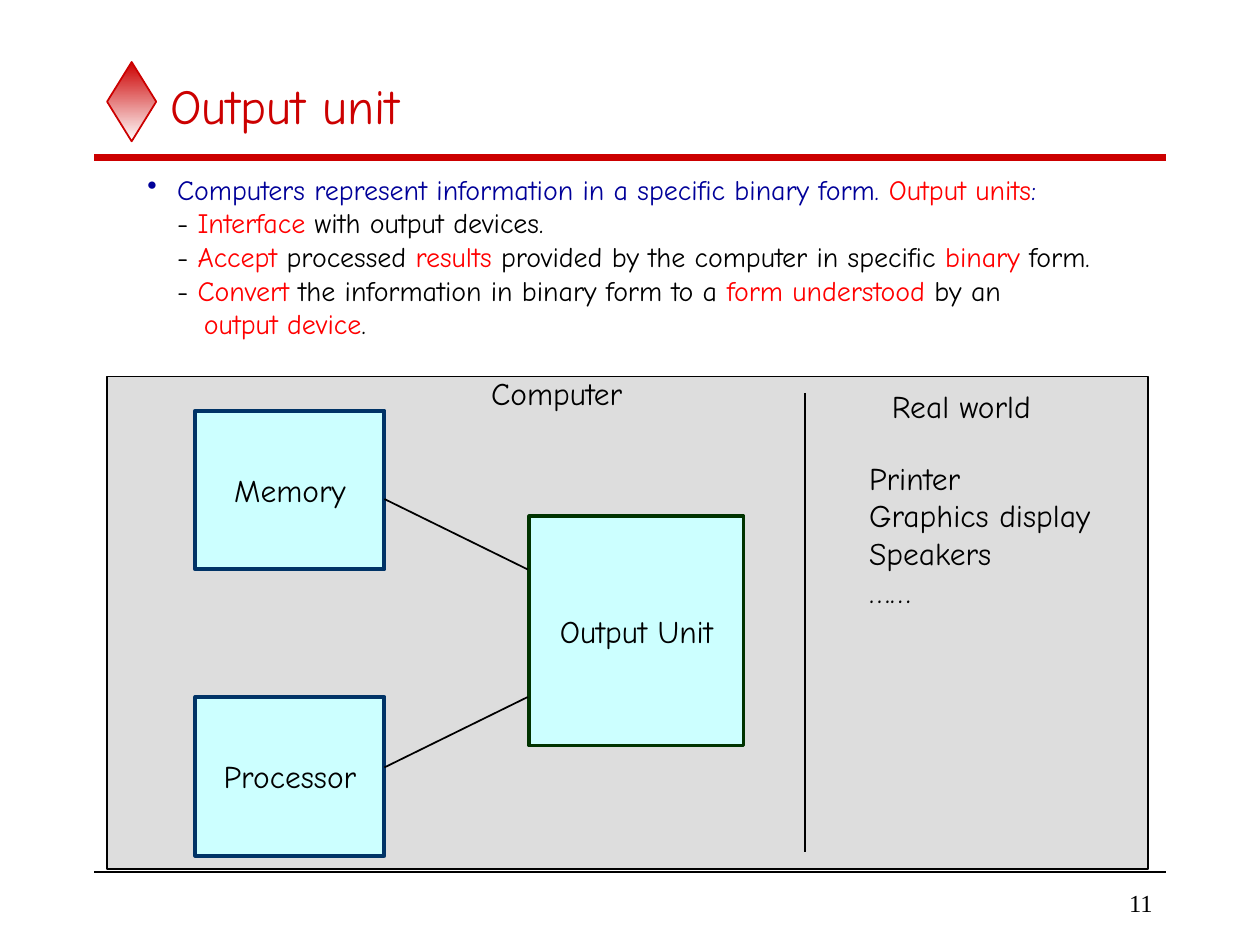
from lxml.etree import SubElement
from pptx import Presentation
from pptx.dml.color import RGBColor
from pptx.enum.shapes import MSO_CONNECTOR as LINK, MSO_SHAPE as SHAPE
from pptx.enum.text import MSO_ANCHOR as ANCHOR, MSO_AUTO_SIZE as AUTO, PP_ALIGN as ALIGN
from pptx.oxml.ns import qn
from pptx.util import Cm, Pt

RED = RGBColor(0xCC, 0x00, 0x00)
KEY = RGBColor(0xFF, 0x00, 0x00)
NAVY = RGBColor(0x00, 0x00, 0x99)
BLACK = RGBColor(0x00, 0x00, 0x00)
WHITE = RGBColor(0xFF, 0xFF, 0xFF)
GREY = RGBColor(0xDD, 0xDD, 0xDD)
CYAN = RGBColor(0xCC, 0xFF, 0xFF)
BLUE_EDGE = RGBColor(0x00, 0x33, 0x66)
GREEN_EDGE = RGBColor(0x00, 0x33, 0x00)
COMIC = "Comic Neue"
TIMES = "Times New Roman"

TITLE = "Output unit"
INTRO = [("Computers represent information in a specific binary form. ", NAVY),
         ("Output units", KEY), (":", NAVY)]
DUTIES = [
    [("- ", BLACK), ("Interface", KEY), (" with output devices.", BLACK)],
    [("- ", BLACK), ("Accept", KEY), (" processed ", BLACK), ("results", KEY),
     (" provided by the computer in specific ", BLACK), ("binary", KEY), (" form.", BLACK)],
    [("- ", BLACK), ("Convert", KEY), (" the information in binary form to a ", BLACK),
     ("form understood", KEY), (" by an", BLACK)],
]
DUTY_END = [("output device", KEY), (".", BLACK)]
DEVICES = ["Printer", "Graphics display", "Speakers", "……"]
UNITS = [
    ("Output Unit", (10.67, 10.41, 4.32, 4.62), GREEN_EDGE),
    ("Processor", (3.94, 14.05, 3.81, 3.2), BLUE_EDGE),
    ("Memory", (3.94, 8.28, 3.81, 3.2), BLUE_EDGE),
]
LABELS = [
    (["Computer"], (9.65, 7.42, 3.18, 1.02)),
    (["Real world"], (17.73, 7.67, 3.33, 1.02)),
    (DEVICES, (17.27, 9.12, 4.98, 3.3)),
]
LINES = [
    ((10.64, 11.48), (7.75, 10.06)),
    ((10.64, 14.05), (7.75, 15.47)),
    ((16.23, 7.92), (16.23, 17.17)),
]
RULE_LEFT, RULE_RIGHT = 1.9, 23.5
INDENT, DEEP_INDENT = 0.6, 1.14

deck = Presentation()
deck.slide_width, deck.slide_height = Cm(25.4), Cm(19.05)
slide = deck.slides.add_slide(deck.slide_layouts[5])
shapes = slide.shapes


def write(frame, paragraphs, size, font=COMIC, **paragraph_format):
    for i, runs in enumerate(paragraphs):
        line = frame.paragraphs[0] if i == 0 else frame.add_paragraph()
        for key, value in paragraph_format.items():
            setattr(line, key, value)
        for text, color in runs:
            run = line.add_run()
            run.text = text
            for key, value in {"name": font, "size": Pt(size)}.items():
                setattr(run.font, key, value)
            run.font.color.rgb = color


def add_text(place, paragraphs, size, font=COMIC, anchor=ANCHOR.TOP,
             auto_size=AUTO.SHAPE_TO_FIT_TEXT, **paragraph_format):
    frame = shapes.add_textbox(*map(Cm, place)).text_frame
    settings = {"word_wrap": False, "auto_size": auto_size, "vertical_anchor": anchor}
    for key, value in settings.items():
        setattr(frame, key, value)
    write(frame, paragraphs, size, font, **paragraph_format)
    return frame


def add_box(kind, place, edge, weight, fill=None):
    box = shapes.add_shape(kind, *map(Cm, place))
    box.shadow.inherit = False
    if fill is not None:
        box.fill.solid()
        box.fill.fore_color.rgb = fill
    box.line.color.rgb = edge
    box.line.width = Pt(weight)
    return box


def add_line(start, end, color=BLACK, weight=1):
    line = shapes.add_connector(LINK.STRAIGHT, *map(Cm, start + end))
    line.line.color.rgb = color
    line.line.width = Pt(weight)
    SubElement(line._element.spPr, qn("a:effectLst"))


def indent(paragraph, left, bullet=False):
    props = paragraph._p.get_or_add_pPr()
    props.set("marL", str(Cm(left)))
    props.set("indent", str(-Cm(left) if bullet else 0))
    if bullet:
        color = SubElement(props, qn("a:buClr"))
        SubElement(color, qn("a:srgbClr"), val=str(NAVY))
        SubElement(props, qn("a:buChar"), char="•")


diamond = add_box(SHAPE.DIAMOND, (2.16, 1.25, 0.99, 1.6), RED, 1)
diamond.fill.gradient()
diamond.fill.gradient_angle = 270
for stop, color, position in zip(diamond.fill.gradient_stops, (RED, WHITE), (0, 1)):
    stop.color.rgb = color
    stop.position = position

for y, color, weight in [(3.18, RED, 4), (17.58, BLACK, 1)]:
    add_line((RULE_LEFT, y), (RULE_RIGHT, y), color, weight)
add_text((19.89, 17.78, 3.6, 0.84), [[("11", BLACK)]], 14, TIMES,
         ANCHOR.MIDDLE, AUTO.NONE, alignment=ALIGN.RIGHT)

title = shapes.title
for side, value in zip(("left", "top", "width", "height"), (3.18, 1.27, 20.32, 1.7)):
    setattr(title, side, Cm(value))
title.text_frame.vertical_anchor = ANCHOR.MIDDLE
write(title.text_frame, [[(TITLE, RED)]], 28, alignment=ALIGN.LEFT)

body = add_text((2.72, 3.35, 19.53, 3.66), [INTRO, *DUTIES, DUTY_END], 16)
for i, paragraph in enumerate(body.paragraphs):
    last = i == len(DUTIES) + 1
    indent(paragraph, DEEP_INDENT if last else INDENT, bullet=i == 0)

add_box(SHAPE.RECTANGLE, (2.16, 7.59, 20.98, 9.93), BLACK, 1, GREY)
for name, place, edge in UNITS:
    unit = add_box(SHAPE.RECTANGLE, place, edge, 2.25, CYAN).text_frame
    unit.word_wrap = False
    unit.vertical_anchor = ANCHOR.MIDDLE
    write(unit, [[(name, BLACK)]], 18, alignment=ALIGN.CENTER)
for start, end in LINES:
    add_line(start, end)
for texts, place in LABELS:
    add_text(place, [[(text, BLACK)] for text in texts], 18)

deck.save("out.pptx")
